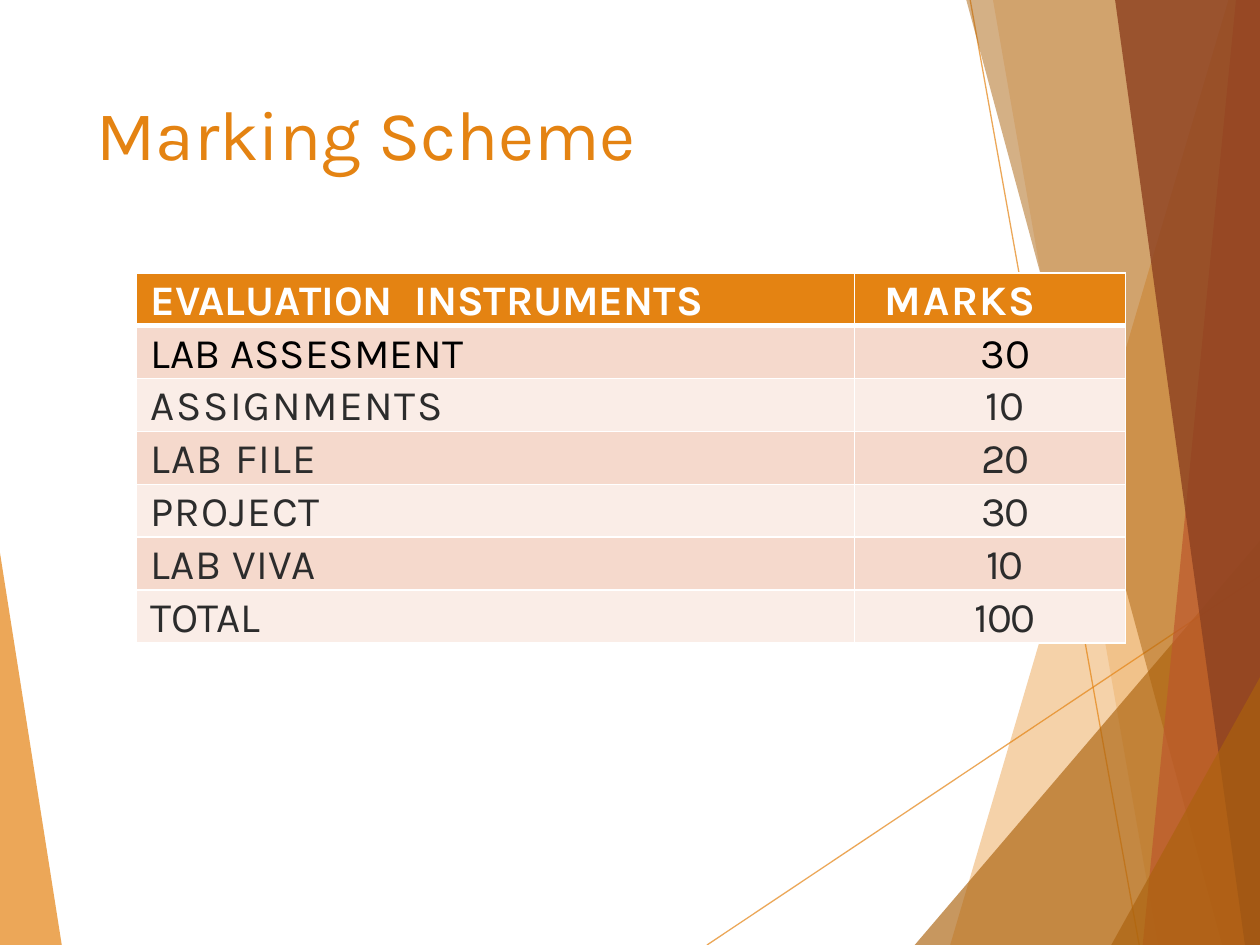
from dataclasses import dataclass

from lxml import etree
from pptx import Presentation
from pptx.dml.color import RGBColor
from pptx.enum import text
from pptx.oxml import ns
from pptx.util import Pt


@dataclass(frozen=True)
class Theme:
    font: str = "Karla"
    title_size: int = 40
    table_size: int = 24
    orange: str = "E48312"
    ochre: str = "AB620D"
    rust: str = "BD582C"
    brown: str = "8E4221"
    white: str = "FFFFFF"
    black: str = "000000"
    ink: str = "2C2C2C"
    bands: tuple = ("F5D9CC", "FAEDE7")


class Deck:
    def __init__(self, theme, width, height):
        self.theme = theme
        self.show = Presentation()
        self.show.slide_width, self.show.slide_height = Pt(width), Pt(height)
        self.slide = self.show.slides.add_slide(self.show.slide_layouts[5])

    def set_alpha(self, element, percent):
        color = element.find(".//" + ns.qn("a:srgbClr"))
        etree.SubElement(color, ns.qn("a:alpha"), val=str(percent * 1000))

    def style(self, paragraph, size, color, bold=False, spacing=0):
        for run in paragraph.runs:
            font = run.font
            font.name, font.size, font.bold = self.theme.font, Pt(size), bold
            font.color.rgb = RGBColor.from_string(color)
            run._r.get_or_add_rPr().set("spc", str(round(spacing * 100)))

    def title(self, words, left, top, width, height):
        heading = self.slide.shapes.title
        heading.left, heading.top = Pt(left), Pt(top)
        heading.width, heading.height = Pt(width), Pt(height)
        frame = heading.text_frame
        frame.text = words
        frame.vertical_anchor = text.MSO_ANCHOR.TOP
        frame.paragraphs[0].alignment = text.PP_ALIGN.LEFT
        self.style(frame.paragraphs[0], self.theme.title_size, self.theme.orange)

    def facet(self, points, color, opacity):
        corners = [(Pt(x), Pt(y)) for x, y in points]
        builder = self.slide.shapes.build_freeform(*corners[0])
        builder.add_line_segments(corners[1:], close=True)
        panel = builder.convert_to_shape()
        panel.shadow.inherit = False
        panel.fill.solid()
        panel.fill.fore_color.rgb = RGBColor.from_string(color)
        panel.line.fill.background()
        self.set_alpha(panel._element.spPr, opacity)

    def ray(self, start, end):
        ray = self.slide.shapes.add_connector(1, *map(Pt, start + end))
        ray.line.width = Pt(0.75)
        ray.line.color.rgb = RGBColor.from_string(self.theme.orange)
        properties = ray._element.spPr
        self.set_alpha(properties, 70)
        etree.SubElement(properties, ns.qn("a:effectLst"))

    def border(self, cell, bottom):
        properties = cell._tc.get_or_add_tcPr()
        widths = {"lnL": 1, "lnR": 1, "lnT": 1, "lnB": bottom}
        for position, (side, width) in enumerate(widths.items()):
            edge = etree.Element(ns.qn(f"a:{side}"), w=str(Pt(width)))
            fill = etree.SubElement(edge, ns.qn("a:solidFill"))
            etree.SubElement(fill, ns.qn("a:srgbClr"), val=self.theme.white)
            properties.insert(position, edge)

    def cell(self, cell, words, fill, color, indent, bold, spacing, align):
        cell.text = words
        cell.margin_left, cell.margin_top = Pt(indent), Pt(2.2)
        cell.margin_right = cell.margin_bottom = 0
        cell.fill.solid()
        cell.fill.fore_color.rgb = RGBColor.from_string(fill)
        paragraph = cell.text_frame.paragraphs[0]
        paragraph.alignment = align
        self.style(paragraph, self.theme.table_size, color, bold, spacing)
        self.border(cell, 3 if bold else 1)

    def table(self, rows, left, top, widths, row_height):
        theme = self.theme
        grid = self.slide.shapes.add_table(
            len(rows), len(widths), Pt(left), Pt(top),
            Pt(sum(widths)), Pt(row_height * len(rows))).table
        for column, width in zip(grid.columns, widths):
            column.width = Pt(width)
        for r, entries in enumerate(rows):
            grid.rows[r].height = Pt(row_height)
            header = r == 0
            fill = theme.orange if header else theme.bands[(r - 1) % 2]
            color = {0: theme.white, 1: theme.black}.get(r, theme.ink)
            for c, (words, spacing) in enumerate(entries):
                centred = c == 1 and not header
                align = text.PP_ALIGN.CENTER if centred else text.PP_ALIGN.LEFT
                self.cell(grid.cell(r, c), words, fill, color,
                          (8, 17.3)[c], header, spacing, align)


def main():
    theme = Theme()
    width, height = 720, 540
    deck = Deck(theme, width, height)

    deck.facet([(0, 316), (35.3, height), (0, height)], theme.orange, 70)
    deck.ray((404, height), (width, 329))
    deck.ray((554.4, 0), (651, height))
    right_facets = [
        ([(702, 0), (543, height), (width, height), (width, 0)], theme.orange, 36),
        ([(567.4, 0), (661.7, height), (width, height), (width, 0)], theme.orange, 20),
        ([(522.7, height), (width, 309), (width, height)], theme.ochre, 66),
        ([(552.2, 0), (698.4, height), (width, height), (width, 0)], theme.ochre, 50),
        ([(706.3, 0), (653, height), (width, height), (width, 0)], theme.rust, 70),
        ([(637.2, 0), (711.4, height), (width, height), (width, 0)], theme.brown, 82),
        ([(635, height), (width, 387), (width, height)], theme.ochre, 66),
    ]
    for points, color, opacity in right_facets:
        deck.facet(points, color, opacity)

    deck.title("Marking Scheme", 48, 48, 500, 104)
    marking = [
        (("EVALUATION  INSTRUMENTS", 0), ("MARKS", 0.9)),
        (("LAB ASSESMENT", 0), ("30", 0)),
        (("ASSIGNMENTS", 0.9), ("10", 0)),
        (("LAB FILE", 0.7), ("20", -1.1)),
        (("PROJECT", 0.6), ("30", -0.8)),
        (("LAB VIVA", 0.3), ("10", -1.2)),
        (("TOTAL", -0.2), ("100", -0.8)),
    ]
    deck.table(marking, 78, 156, (410.4, 154.8), 30.1)
    deck.show.save("out.pptx")


if __name__ == "__main__":
    main()
